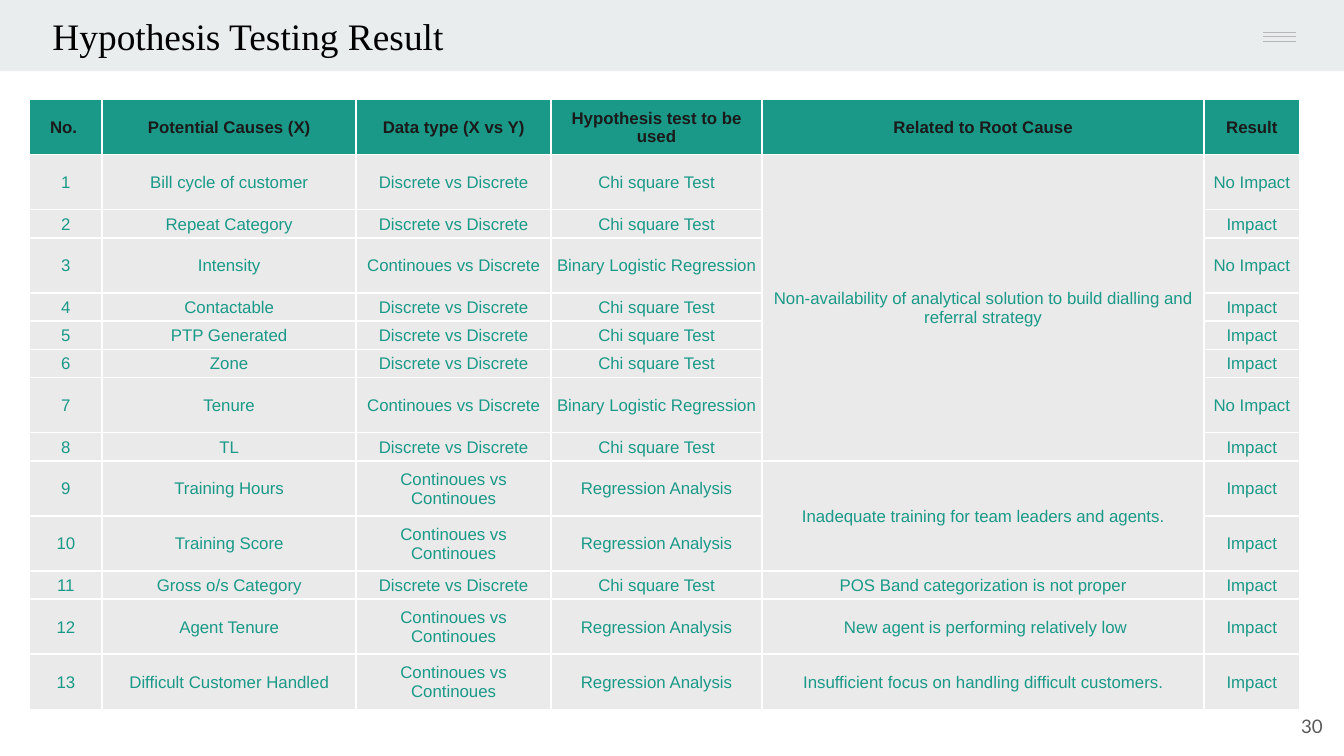
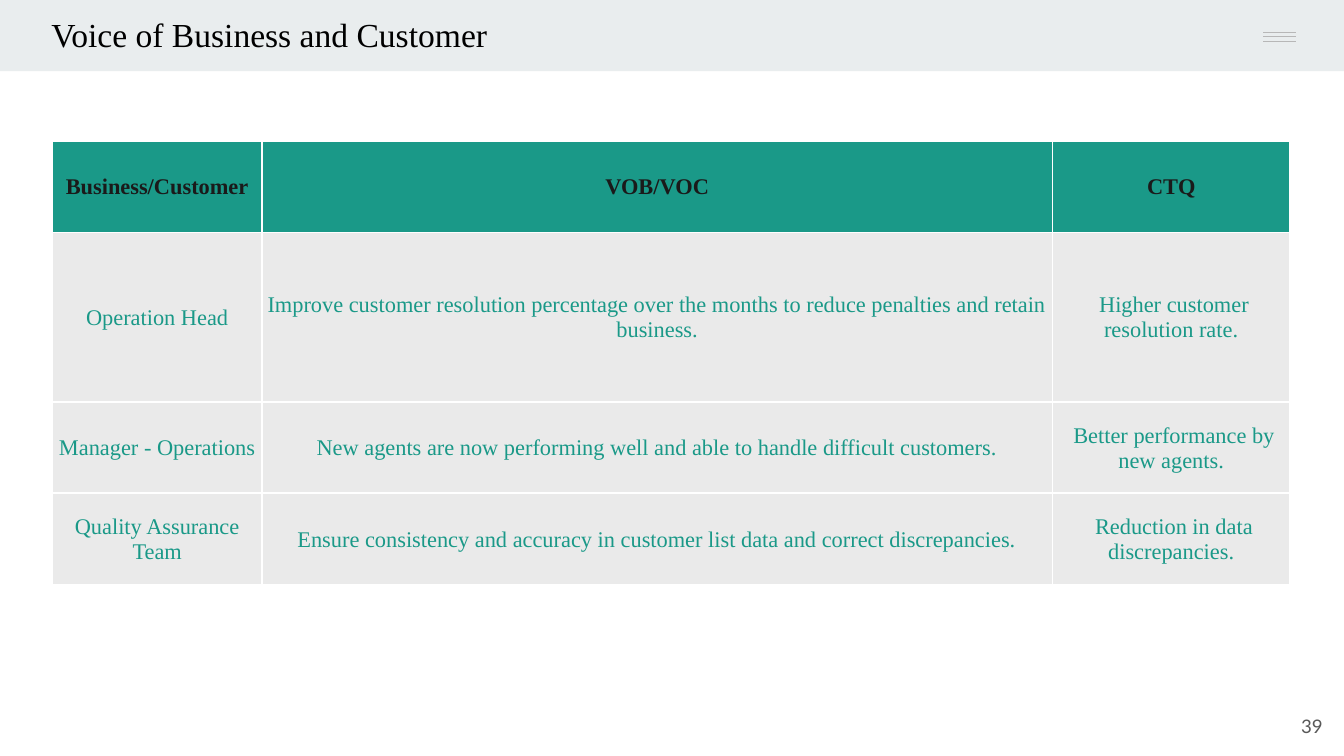
from lxml import etree
from pptx import Presentation
from pptx.dml.color import RGBColor
from pptx.enum.shapes import MSO_CONNECTOR, MSO_SHAPE
from pptx.enum.text import MSO_ANCHOR, MSO_AUTO_SIZE, PP_ALIGN
from pptx.oxml.ns import qn
from pptx.util import Inches, Pt

TEAL, BAND, RULE, CELL = "1A9988", "E9EDEE", "B7B7B7", "EAEAEA"
WHITE, BLACK, INK, GREY = "FFFFFF", "000000", "1A1A1A", "595959"
SERIF, SANS, NUMBER_FONT = "Times New Roman", "Arial", "Lato"

DISCRETE, MIXED, CONTINUOUS = (
    "Discrete vs Discrete", "Continoues vs Discrete", "Continoues vs Continoues")
TESTS = {DISCRETE: "Chi square Test", MIXED: "Binary Logistic Regression",
         CONTINUOUS: "Regression Analysis"}
HYPOTHESIS_HEADER = ["No. ", "Potential Causes (X)", "Data type (X vs Y)",
                     "Hypothesis test to be used", "Related to Root Cause", "Result"]
CAUSES = [
    ("Bill cycle of customer", DISCRETE,
     "Non-availability of analytical solution to build dialling and referral strategy",
     "No Impact"),
    ("Repeat Category", DISCRETE, None, "Impact"),
    ("Intensity", MIXED, None, "No Impact"),
    ("Contactable", DISCRETE, None, "Impact"),
    ("PTP Generated", DISCRETE, None, "Impact"),
    ("Zone", DISCRETE, None, "Impact"),
    ("Tenure", MIXED, None, "No Impact"),
    ("TL", DISCRETE, None, "Impact"),
    ("Training Hours", CONTINUOUS,
     "Inadequate training for team leaders and agents.", "Impact"),
    ("Training Score", CONTINUOUS, None, "Impact"),
    ("Gross o/s Category", DISCRETE, "POS Band categorization is not proper", "Impact"),
    ("Agent Tenure", CONTINUOUS, " New agent is performing relatively low", "Impact"),
    ("Difficult Customer Handled", CONTINUOUS,
     "Insufficient focus on handling difficult customers.", "Impact"),
]
VOICES = [
    ["Business/Customer", "VOB/VOC", "CTQ"],
    ["Operation Head",
     "Improve customer resolution percentage over the months to reduce penalties "
     "and retain business.",
     " Higher customer resolution rate."],
    ["Manager - Operations",
     "New agents are now performing well and able to handle difficult customers.",
     " Better performance by new agents."],
    ["Quality Assurance Team",
     "Ensure consistency and accuracy in customer list data and correct discrepancies.",
     " Reduction in data discrepancies."],
]


def rgb(value):
    """Turn a hex string into a colour."""
    return RGBColor.from_string(value)


def write(tf, text, size, font, color, align, bold=False):
    """Add one formatted run to the first paragraph."""
    p = tf.paragraphs[0]
    p.alignment = align
    r = p.add_run()
    r.text = text
    r.font.size, r.font.name, r.font.bold = Pt(size), font, bold
    r.font.color.rgb = rgb(color)


def place(sp, left, top, width, height):
    """Move and size a shape in inches."""
    sp.left, sp.top = Inches(left), Inches(top)
    sp.width, sp.height = Inches(width), Inches(height)


def set_margins(box, left, top, right, bottom):
    """Set the insets of a text frame or cell in inches."""
    box.margin_left, box.margin_top = Inches(left), Inches(top)
    box.margin_right, box.margin_bottom = Inches(right), Inches(bottom)


def add_band(slide, width=10, height=0.53):
    """Draw the header band with its menu mark."""
    for left, w, h in ((0, width, height), (width - 0.94, 0.94, 0.5)):
        sp = slide.shapes.add_shape(MSO_SHAPE.RECTANGLE, Inches(left), 0, Inches(w), Inches(h))
        sp.shadow.inherit = False
        sp.fill.solid()
        sp.fill.fore_color.rgb = rgb(BAND)
        sp.line.fill.background()
    for y in (0.24, 0.27, 0.31):
        line = slide.shapes.add_connector(
            MSO_CONNECTOR.STRAIGHT, Inches(width - 0.6), Inches(y), Inches(width - 0.36), Inches(y))
        line.line.color.rgb = rgb(RULE)
        line.line.width = Pt(0.75)
        etree.SubElement(line._element.spPr, qn("a:effectLst"))


def add_title(slide, text, width, size):
    """Fill the title placeholder and lay it over the band."""
    sp = slide.shapes.title
    place(sp, 0.22, 0, width, 0.53)
    tf = sp.text_frame
    tf.word_wrap, tf.auto_size = True, MSO_AUTO_SIZE.NONE
    tf.vertical_anchor = MSO_ANCHOR.TOP
    set_margins(tf, 0.1, 0.1, 0.1, 0.1)
    for part, color in ((" ", TEAL), (text, BLACK)):
        write(tf, part, size, SERIF, color, PP_ALIGN.LEFT)
    slide.shapes._spTree.append(sp._element)


def add_page_number(slide, number):
    """Write the page number at the lower right."""
    sp = slide.shapes.add_textbox(Inches(9.34), Inches(5.19), Inches(0.6), Inches(0.43))
    tf = sp.text_frame
    tf.word_wrap, tf.vertical_anchor = True, MSO_ANCHOR.MIDDLE
    set_margins(tf, 0.1, 0.1, 0.1, 0.1)
    write(tf, str(number), 10, NUMBER_FONT, GREY, PP_ALIGN.RIGHT)


def format_cell(cell, header):
    """Fill a cell, centre it and give it white borders."""
    cell.vertical_anchor = MSO_ANCHOR.MIDDLE
    set_margins(cell, 0.01, 0.01, 0.01, 0)
    tcPr = cell._tc.get_or_add_tcPr()
    for side in ("a:lnL", "a:lnR", "a:lnT", "a:lnB"):
        ln = etree.SubElement(tcPr, qn(side), w=str(Pt(1)))
        fill = etree.SubElement(ln, qn("a:solidFill"))
        etree.SubElement(fill, qn("a:srgbClr"), val=WHITE)
    cell.fill.solid()
    cell.fill.fore_color.rgb = rgb(TEAL if header else CELL)


def add_grid(slide, left, top, cols, heights, rows, size, font):
    """Build a table; a None entry joins the cell above it."""
    frame = slide.shapes.add_table(len(rows), len(cols), Inches(left), Inches(top),
                                   Inches(sum(cols)), Inches(sum(heights)))
    table = frame.table
    for column, width in zip(table.columns, cols):
        column.width = Inches(width)
    for row, height in zip(table.rows, heights):
        row.height = Inches(height)
    for i, row in enumerate(rows):
        for j, text in enumerate(row):
            cell, header = table.cell(i, j), i == 0
            format_cell(cell, header)
            if text is not None:
                write(cell.text_frame, text, size, font, INK if header else TEAL,
                      PP_ALIGN.CENTER, header)
    for j in range(len(cols)):
        starts = [i for i, row in enumerate(rows) if row[j] is not None] + [len(rows)]
        for first, after in zip(starts, starts[1:]):
            if after - first > 1:
                table.cell(first, j).merge(table.cell(after - 1, j))


def add_page(prs, title, number, title_width, title_size):
    """Add a slide with band, title and page number."""
    slide = prs.slides.add_slide(prs.slide_layouts[5])
    add_band(slide)
    add_title(slide, title, title_width, title_size)
    add_page_number(slide, number)
    return slide


def hypothesis_slide(prs):
    """Build the slide of hypothesis test results."""
    slide = add_page(prs, "Hypothesis Testing Result", 30, 5.12, 20)
    rows = [HYPOTHESIS_HEADER] + [
        [str(n), cause, kind, TESTS[kind], root, result]
        for n, (cause, kind, root, result) in enumerate(CAUSES, 1)]
    short = {2, 4, 5, 6, 8, 11}
    heights = [0.21 if i in short else 0.41 for i in range(len(rows))]
    add_grid(slide, 0.22, 0.74, [0.54, 1.89, 1.45, 1.57, 3.29, 0.71], heights, rows, 9, SANS)


def voice_slide(prs):
    """Build the slide of business and customer voices."""
    slide = add_page(prs, "Voice of Business and Customer", 39, 8.79, 18)
    add_grid(slide, 0.39, 1.05, [1.56, 5.88, 1.77], [0.68, 1.26, 0.68, 0.68], VOICES, 12, SERIF)


def main():
    """Build and save the presentation."""
    prs = Presentation()
    prs.slide_width = Inches(10)
    prs.slide_height = prs.slide_width * 9 // 16
    hypothesis_slide(prs)
    voice_slide(prs)
    prs.save("out.pptx")


if __name__ == "__main__":
    main()
